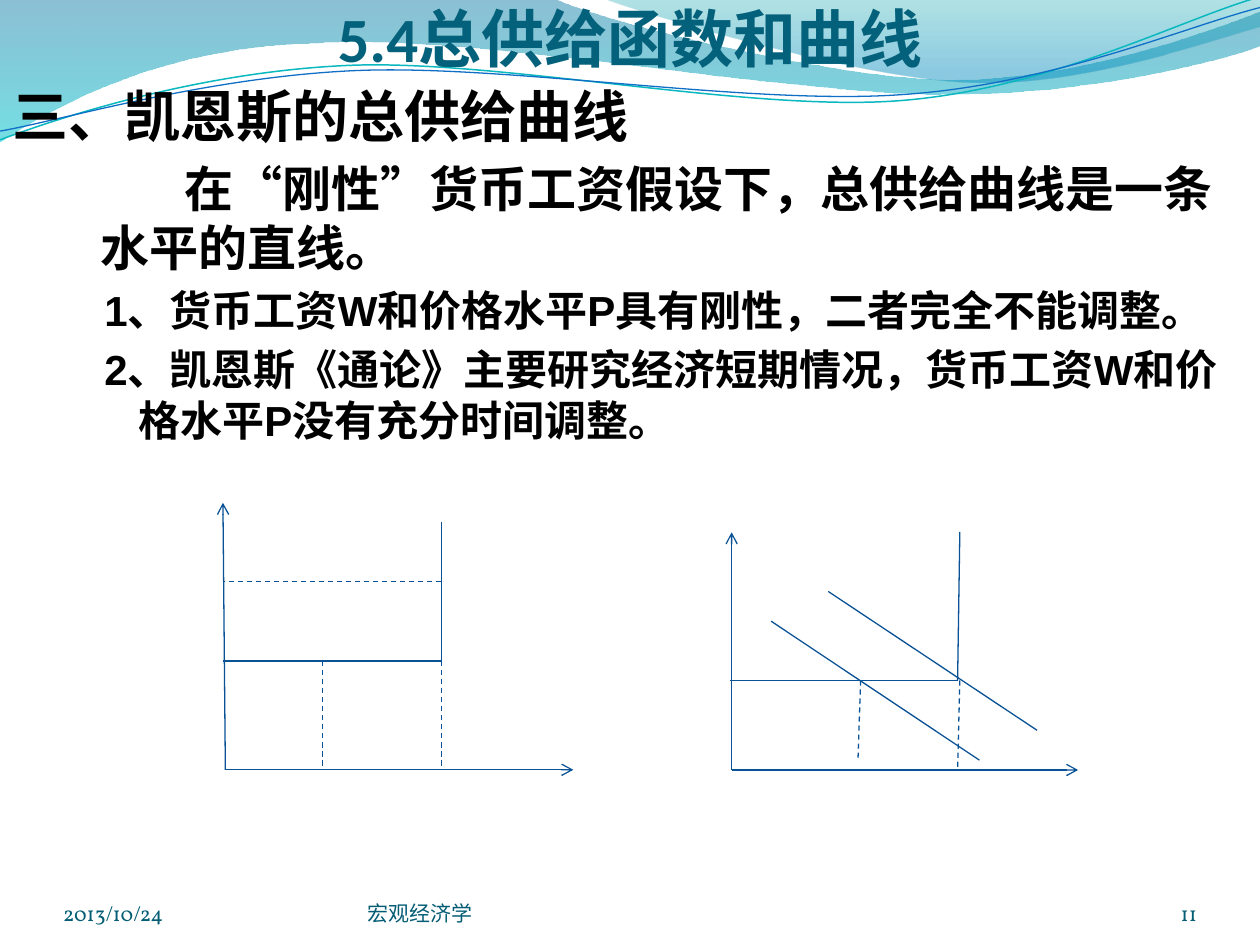
from lxml import etree
from pptx import Presentation
from pptx.dml.color import RGBColor
from pptx.enum.dml import MSO_LINE
from pptx.enum.shapes import MSO_CONNECTOR
from pptx.enum.text import MSO_ANCHOR, PP_ALIGN
from pptx.oxml.ns import qn
from pptx.util import Pt

STRAIGHT = MSO_CONNECTOR.STRAIGHT
DASH = MSO_LINE.DASH
TOP, BOTTOM = MSO_ANCHOR.TOP, MSO_ANCHOR.BOTTOM
LEFT, CENTER, RIGHT = PP_ALIGN.LEFT, PP_ALIGN.CENTER, PP_ALIGN.RIGHT

INK, TEAL, NAVY, BLACK = "095295", "04617B", "045D75", "000000"

BAND = [(0, 0), (316.8, -0.7),
        (342.7, 12.2, 478.1, 45.4, 545.8, 45.4),
        (614.2, 45.4, 689.8, 18.7, 720, 6.5), (720.7, 25.9),
        (707.8, 31.7, 626.4, 54.7, 537.1, 54),
        (447.8, 54, 275, 20.2, 185, 24.5),
        (92.9, 25.9, 33.1, 59.8, -0.7, 81.4), (0, 0)]
CREST = [(344.9, -0.7),
         (366.5, 7.9, 491, 44.6, 553.7, 46.8),
         (616.3, 49.7, 691.9, 23, 720, 15.1), (720, 0), (344.9, -0.7)]
UPPER = [(0, 79.9),
         (34.6, 67, 113.8, 41, 199.4, 37.4),
         (284.4, 33.8, 427, 64.1, 513.4, 57.6),
         (599.8, 51.1, 675.4, 10.8, 718.6, -1.4)]
LOWER = [(0, 74.9),
         (33.8, 69.1, 118.1, 43.9, 203.8, 40.3),
         (290.2, 36.7, 429.8, 60.5, 516.2, 54),
         (601.9, 48.2, 677.5, 15.1, 720, 4.3)]

BODY = [
    ("三、凯恩斯的总供给曲线", 32, 0, 21.6, -21.6),
    ("在“刚性”货币工资假设下，总供给曲线是一条水平的直线。", 28, 1, 50.4, 48.2),
    ("1、货币工资W和价格水平P具有刚性，二者完全不能调整。", 24, 2, 72, -19.4),
    ("2、凯恩斯《通论》主要研究经济短期情况，货币工资W和价格水平P没有充分时间调整。",
     24, 2, 72, -19.4),
]

WAGE = {
    "axes": [(1.4, 152.6, 200.2, 152.6), (1.4, 152.6, 0, 0)],
    "curves": [(124.8, 10.8, 124.8, 90.5), (124.8, 90.5, 0, 90.5)],
    "guides": [(124.8, 45, 0, 45), (124.8, 90.5, 124.8, 152.6),
               (56.9, 90.5, 56.9, 152.6)],
}
PRICE = {
    "axes": [(1.2, 136.2, 199.2, 136.2), (1.2, 136.2, 1.2, 0.4)],
    "curves": [(131.6, 0.2, 130.3, 85), (130.3, 85, 0, 85),
               (23.8, 51.2, 142.8, 130.6), (56.4, 34.2, 175.7, 113.5)],
    "guides": [(74.9, 85, 73.4, 130.3), (131.6, 85, 130.3, 136.2)],
}


def color(text):
    return RGBColor.from_string(text)


def bend(shape, parts):
    steps = list(shape._element.iter(qn("a:lnTo")))
    for part in parts:
        count = len(part) // 2
        group, steps = steps[:count], steps[count:]
        if count == 3:
            group[0].tag = qn("a:cubicBezTo")
            for step in group[1:]:
                group[0].append(step[0])
                step.getparent().remove(step)


def outline(slide, box, path, close):
    left, top = box
    dots = [(Pt(left + x), Pt(top + y))
            for part in path for x, y in zip(part[::2], part[1::2])]
    pen = slide.shapes.build_freeform(*dots[0])
    pen.add_line_segments(dots[1:], close=close)
    shape = pen.convert_to_shape()
    bend(shape, path[1:])
    shape.shadow.inherit = False
    return shape


def add_wave(slide, box, path, stops):
    shape = outline(slide, box, path, True)
    shape.line.fill.background()
    fill = shape.fill
    fill.gradient()
    fill.gradient_angle = 270
    for stop, (_, hue, _) in zip(fill.gradient_stops, stops):
        stop.color.rgb = color(hue)
    for node, (place, _, alpha) in zip(shape._element.iter(qn("a:gs")), stops):
        node.set("pos", str(place * 1000))
        etree.SubElement(node[0], qn("a:alpha")).set("val", str(alpha * 1000))


def add_stroke(slide, box, path, hue, width):
    shape = outline(slide, box, path, False)
    shape.fill.background()
    shape.line.color.rgb = color(hue)
    shape.line.width = Pt(width)


def add_header(slide, box):
    add_wave(slide, box, BAND, [(0, "0074A1", 45), (100, "00C6CF", 55)])
    add_wave(slide, box, CREST, [(0, "00A1A9", 30), (80, "008BBF", 45)])
    add_stroke(slide, box, UPPER, "0AB8BF", 0.85)
    add_stroke(slide, box, LOWER, "0F6FC6", 0.75)


def add_frame(slide, box, inset, anchor):
    frame = slide.shapes.add_textbox(*map(Pt, box)).text_frame
    frame.word_wrap = True
    frame.vertical_anchor = anchor
    (frame.margin_left, frame.margin_top,
     frame.margin_right, frame.margin_bottom) = map(Pt, inset)
    return frame


def add_run(para, text, size, face, hue, bold=False):
    run = para.add_run()
    run.text = text
    font = run.font
    font.size, font.name, font.bold = Pt(size), face, bold
    font.color.rgb = color(hue)


def add_title(slide, box):
    para = add_frame(slide, box, (0, 3.6, 0, 0), BOTTOM).paragraphs[0]
    para.alignment = CENTER
    add_run(para, "5.4总供给函数和曲线", 36, "Calibri", TEAL, True)


def add_body(slide, box):
    frame = add_frame(slide, box, (7.2, 3.6, 5, 3.6), TOP)
    for i, (text, size, level, margin, indent) in enumerate(BODY):
        para = frame.add_paragraph() if i else frame.paragraphs[0]
        para.level = level
        para.space_before = Pt(size * 0.2 if i else 0)
        props = para._p.get_or_add_pPr()
        props.set("marL", str(Pt(margin)))
        props.set("indent", str(Pt(indent)))
        add_run(para, text, size, "Arial", BLACK, True)


def add_footer(slide, box):
    left, top, _, height = box
    for x, width, text, align in [(0, 168, "2013/10/24", LEFT),
                                  (174, 264, "宏观经济学", LEFT),
                                  (588, 60, "11", RIGHT)]:
        area = (left + x, top, width, height)
        para = add_frame(slide, area, (0, 0, 0, 0), BOTTOM).paragraphs[0]
        para.alignment = align
        add_run(para, text, 12, "Vollkorn", NAVY)


def add_graph(slide, box, parts):
    left, top = box
    for kind, lines in parts.items():
        for x1, y1, x2, y2 in lines:
            link = slide.shapes.add_connector(
                STRAIGHT, Pt(left + x1), Pt(top + y1),
                Pt(left + x2), Pt(top + y2))
            link.line.color.rgb = color(INK)
            link.line.width = Pt(0.75)
            if kind == "guides":
                link.line.dash_style = DASH
            if kind == "axes":
                stroke = link.line._get_or_add_ln()
                etree.SubElement(stroke, qn("a:tailEnd")).set("type", "arrow")
            etree.SubElement(link._element.spPr, qn("a:effectLst"))


def main():
    deck = Presentation()
    deck.slide_width, deck.slide_height = Pt(720), Pt(540)
    slide = deck.slides.add_slide(deck.slide_layouts[6])
    add_header(slide, (0, 0))
    add_title(slide, (36, 0, 648, 43.2))
    add_body(slide, (0, 43.2, 720, 455))
    add_footer(slide, (36, 500.4, 648, 28.8))
    add_graph(slide, (127.4, 287.3), WAGE)
    add_graph(slide, (416.9, 303.8), PRICE)
    deck.save("out.pptx")


if __name__ == "__main__":
    main()
